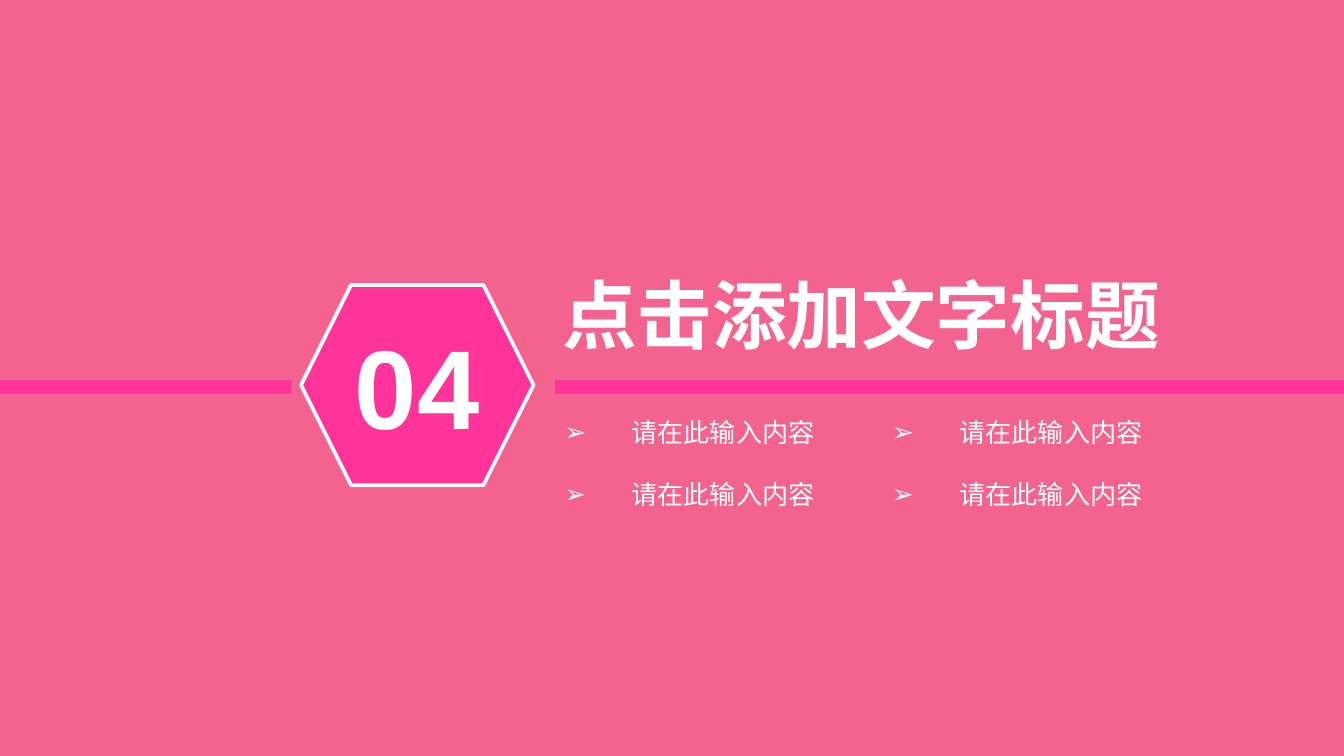
"""Build a section divider slide with a numbered hexagon, a title and a grid of points."""
from itertools import product

from lxml.etree import SubElement
from pptx import Presentation
from pptx.dml.color import RGBColor
from pptx.enum.shapes import MSO_SHAPE as Shape
from pptx.enum.text import MSO_ANCHOR as Anchor, MSO_AUTO_SIZE as AutoSize, PP_ALIGN as Align
from pptx.oxml.ns import qn
from pptx.util import Inches, Pt

NUMBER = "04"
TITLE = "点击添加文字标题"
POINTS = [
    ["请在此输入内容", "请在此输入内容"],
    ["请在此输入内容", "请在此输入内容"],
]

THEME = {
    "background": RGBColor.from_string("F4628F"),
    "accent": RGBColor.from_string("FF3399"),
    "light": RGBColor.from_string("FFFFFF"),
    "number_font": "Arial",
    "bullet_font": "Arial",
    "text_font": "Noto Sans CJK SC",
    "number_size": 60,
    "title_size": 40,
    "point_size": 14,
    "outline": 2,
}

SLIDE_WIDTH = 10
SLIDE_HEIGHT = SLIDE_WIDTH * 9 / 16
BAR_TOP, BAR_HEIGHT = 2.83, 0.1
BAR_SPANS = [(0, 2.17), (4.13, SLIDE_WIDTH)]
HEXAGON_BOX = (2.24, 2.12, 1.73, 1.49)
TITLE_BOX = (4.09, 1.95, 4.69, 0.77)
GRID_LEFT, GRID_TOP = 4.1, 3.05
COLUMN_STEP, ROW_STEP = 2.44, 0.46
POINT_WIDTH, POINT_HEIGHT = 2.08, 0.34
INDENT = Inches(0.5)


def add_block(slide, kind, box):
    shape = slide.shapes.add_shape(kind, *map(Inches, box))
    shape.shadow.inherit = False
    shape.fill.solid()
    shape.fill.fore_color.rgb = THEME["accent"]
    shape.line.fill.background()
    return shape


def style_text(paragraph, font_name, size, bold=False):
    font = paragraph.font
    font.name = font_name
    font.size = Pt(size)
    font.bold = bold
    font.color.rgb = THEME["light"]
    properties = paragraph._p.pPr.find(qn("a:defRPr"))
    SubElement(properties, qn("a:ea"), typeface=font_name)


def add_text(slide, box, text, size, bold=False, bullet=None):
    frame = slide.shapes.add_textbox(*map(Inches, box)).text_frame
    frame.word_wrap = False
    frame.auto_size = AutoSize.SHAPE_TO_FIT_TEXT
    paragraph = frame.paragraphs[0]
    paragraph.text = text
    if bullet:
        properties = paragraph._p.get_or_add_pPr()
        properties.set("marL", str(INDENT))
        properties.set("indent", str(-INDENT))
        SubElement(properties, qn("a:buFont"), typeface=THEME["bullet_font"])
        SubElement(properties, qn("a:buChar"), char=bullet)
    style_text(paragraph, THEME["text_font"], size, bold)


def add_number(slide):
    hexagon = add_block(slide, Shape.HEXAGON, HEXAGON_BOX)
    hexagon.line.color.rgb = THEME["light"]
    hexagon.line.width = Pt(THEME["outline"])
    frame = hexagon.text_frame
    frame.vertical_anchor = Anchor.MIDDLE
    paragraph = frame.paragraphs[0]
    paragraph.text = NUMBER
    paragraph.alignment = Align.CENTER
    style_text(paragraph, THEME["number_font"], THEME["number_size"], bold=True)


def main():
    presentation = Presentation()
    presentation.slide_width = Inches(SLIDE_WIDTH)
    presentation.slide_height = Inches(SLIDE_HEIGHT)
    slide = presentation.slides.add_slide(presentation.slide_layouts[6])
    slide.background.fill.solid()
    slide.background.fill.fore_color.rgb = THEME["background"]

    left_bar, right_bar = [(start, BAR_TOP, end - start, BAR_HEIGHT) for start, end in BAR_SPANS]
    add_block(slide, Shape.RECTANGLE, left_bar)
    add_number(slide)
    add_block(slide, Shape.RECTANGLE, right_bar)
    add_text(slide, TITLE_BOX, TITLE, THEME["title_size"], bold=True)
    for row, column in product(range(len(POINTS)), range(len(POINTS[0]))):
        left = GRID_LEFT + column * COLUMN_STEP
        top = GRID_TOP + row * ROW_STEP
        box = (left, top, POINT_WIDTH, POINT_HEIGHT)
        add_text(slide, box, POINTS[row][column], THEME["point_size"], bullet="➢")

    presentation.save("out.pptx")


if __name__ == "__main__":
    main()
